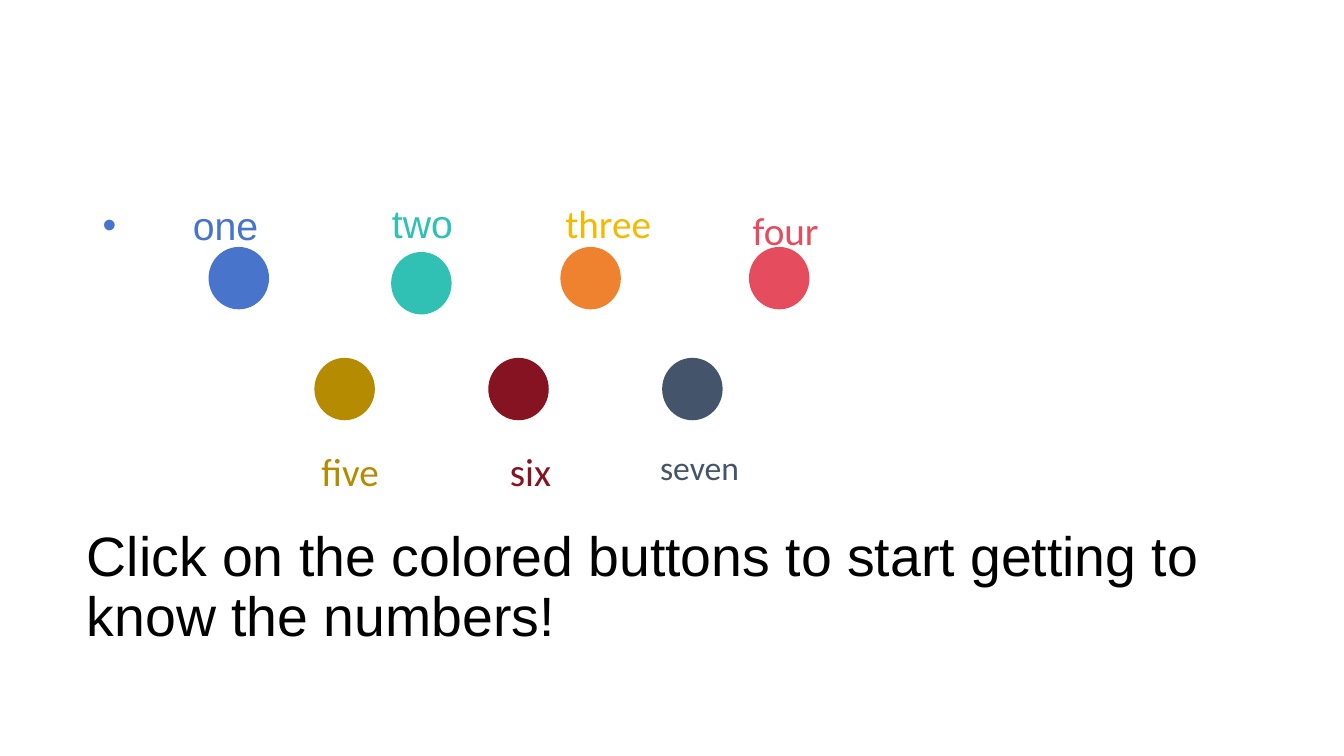
from dataclasses import dataclass

from lxml import etree
from pptx import Presentation
from pptx.dml.color import RGBColor
from pptx.enum.shapes import MSO_SHAPE
from pptx.enum.text import MSO_ANCHOR, MSO_AUTO_SIZE, PP_ALIGN
from pptx.oxml.ns import qn
from pptx.util import Pt

OVAL = MSO_SHAPE.OVAL
MIDDLE, TOP = MSO_ANCHOR.MIDDLE, MSO_ANCHOR.TOP
FIT_SHAPE, NO_FIT = MSO_AUTO_SIZE.SHAPE_TO_FIT_TEXT, MSO_AUTO_SIZE.NONE
LEFT = PP_ALIGN.LEFT


@dataclass(frozen=True)
class Theme:
    black: str = "000000"
    blue: str = "4874CB"
    teal: str = "30C0B4"
    orange: str = "EE822F"
    yellow: str = "F2BA02"
    red: str = "E54C5E"
    olive: str = "B58B01"
    maroon: str = "851321"
    slate: str = "44546A"
    title_size: float = 39.6
    label_size: float = 28
    small_size: float = 24
    heading_font: str = "Arial"
    label_font: str = "Calibri"


THEME = Theme()


@dataclass(frozen=True)
class Button:
    left: float
    top: float
    color: str


@dataclass(frozen=True)
class Label:
    text: str
    left: float
    top: float
    width: float
    color: str
    font: str = THEME.label_font
    size: float = THEME.label_size
    height: float = 41


BUTTON_WIDTH, BUTTON_HEIGHT = 43.2, 44.6
UPPER_TOP, LOWER_TOP = 176.4, 255.6
LOWER_LEFT, LOWER_STEP = 224.6, 124.2
LABEL_TOP, LOWER_LABEL_TOP = 139, 316
BULLET_INDENT = 64.4

BUTTONS = [
    Button(149, UPPER_TOP, THEME.blue),
    Button(279.4, 180, THEME.teal),
    Button(400.3, UPPER_TOP, THEME.orange),
    Button(535, UPPER_TOP, THEME.red),
] + [
    Button(LOWER_LEFT + column * LOWER_STEP, LOWER_TOP, color)
    for column, color in enumerate((THEME.olive, THEME.maroon, THEME.slate))
]

LABELS = [
    Label("two", 272.9, LABEL_TOP, 480, THEME.teal, THEME.heading_font),
    Label("three", 396.7, LABEL_TOP, 85, THEME.yellow),
    Label("four", 530.6, 144, 429, THEME.red),
    Label("five", 222.5, LOWER_LABEL_TOP, 58.3, THEME.olive),
    Label("six", 357.1, LOWER_LABEL_TOP, 58.3, THEME.maroon),
    Label("seven", 464.4, LOWER_LABEL_TOP, 99.4, THEME.slate,
          size=THEME.small_size, height=36),
]


def apply_format(target, values: dict) -> None:
    for name, value in values.items():
        setattr(target, name, value)


def place(shape, left: float, top: float, width: float, height: float) -> None:
    apply_format(shape, {"left": Pt(left), "top": Pt(top),
                         "width": Pt(width), "height": Pt(height)})


def write_text(shape, text: str, font: str, size: float, color: str,
               frame_format: dict, paragraph_format: dict) -> None:
    apply_format(shape.text_frame, {"word_wrap": True, **frame_format})
    paragraph = shape.text_frame.paragraphs[0]
    run = paragraph.add_run()
    run.text = text
    apply_format(paragraph, {"alignment": LEFT, "space_before": Pt(0),
                             **paragraph_format})
    apply_format(run.font, {"name": font, "size": Pt(size)})
    run.font.color.rgb = RGBColor.from_string(color)


def add_bullet(paragraph, indent: float) -> None:
    properties = paragraph._p.get_or_add_pPr()
    properties.set("marL", str(Pt(indent)))
    properties.set("indent", str(-Pt(indent)))
    etree.SubElement(properties, qn("a:buFont")).set("typeface", "Arial")
    etree.SubElement(properties, qn("a:buChar")).set("char", "•")


def draw_button(slide, button: Button) -> None:
    shape = slide.shapes.add_shape(OVAL, Pt(button.left), Pt(button.top),
                                   Pt(BUTTON_WIDTH), Pt(BUTTON_HEIGHT))
    shape.shadow.inherit = False
    shape.fill.solid()
    shape.fill.fore_color.rgb = RGBColor.from_string(button.color)
    shape.line.fill.background()


def draw_label(slide, label: Label) -> None:
    shape = slide.shapes.add_textbox(Pt(label.left), Pt(label.top),
                                     Pt(label.width), Pt(label.height))
    write_text(shape, label.text, label.font, label.size, label.color,
               {"auto_size": FIT_SHAPE}, {})


def main() -> None:
    presentation = Presentation()
    apply_format(presentation, {"slide_width": Pt(960), "slide_height": Pt(540)})
    slide = presentation.slides.add_slide(presentation.slide_layouts[1])

    # Instruction
    title = slide.shapes.title
    place(title, 54.7, 368, 828, 104.4)
    write_text(title, "Click on the colored buttons to start getting to know the numbers!",
               THEME.heading_font, THEME.title_size, THEME.black,
               {"vertical_anchor": MIDDLE, "auto_size": NO_FIT},
               {"line_spacing": 0.9})

    # First number, as a bulleted item
    body = slide.placeholders[1]
    place(body, 66.2, 144, 828, 342.7)
    add_bullet(body.text_frame.paragraphs[0], BULLET_INDENT)
    write_text(body, "one", THEME.heading_font, THEME.label_size, THEME.blue,
               {"vertical_anchor": TOP, "auto_size": NO_FIT},
               {"line_spacing": 0.9})

    # Buttons and the remaining numbers
    for button in BUTTONS:
        draw_button(slide, button)
    for label in LABELS:
        draw_label(slide, label)

    presentation.save("out.pptx")


if __name__ == "__main__":
    main()
